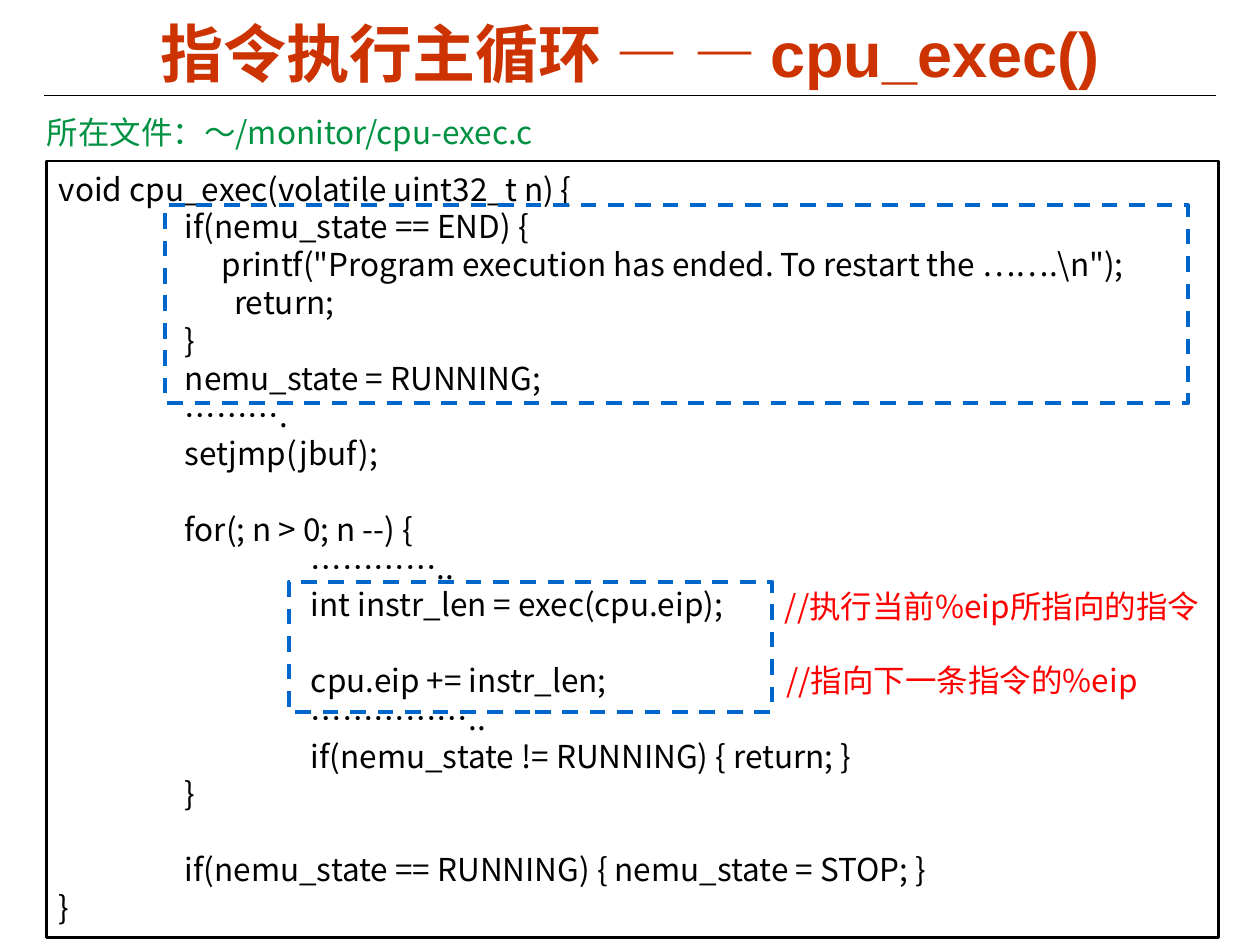
import dataclasses
import typing

import lxml.etree
import pptx
import pptx.dml.color
import pptx.enum.dml
import pptx.enum.shapes
import pptx.enum.text
import pptx.oxml.ns
import pptx.util

Cm = pptx.util.Cm
Pt = pptx.util.Pt
CODE_FONT = "Noto Sans CJK SC"
LINE_PITCH = 21.6
TAB = 2.54


@dataclasses.dataclass
class CodeLine:
    """One line of code, its indent in tabs and the blank lines above it."""
    text: str
    tabs: float = 0
    blanks_above: int = 0


@dataclasses.dataclass
class Box:
    """Position and size in centimetres."""
    left: float
    top: float
    width: float
    height: float

    def lengths(self) -> list:
        return [Cm(value) for value in dataclasses.astuple(self)]


@dataclasses.dataclass
class Note:
    """A single coloured line of text."""
    text: str
    box: Box
    color: str


CODE = [
    CodeLine("void cpu_exec(volatile uint32_t n) {"),
    CodeLine("if(nemu_state == END) {", 1),
    CodeLine('printf("Program execution has ended. To restart the …….\\n");', 1.29),
    CodeLine("return;", 1.39),
    CodeLine("}", 1),
    CodeLine("nemu_state = RUNNING;", 1),
    CodeLine("……….", 1),
    CodeLine("setjmp(jbuf);", 1),
    CodeLine("for(; n > 0; n --) {", 1, 1),
    CodeLine("…………..", 2),
    CodeLine("int instr_len = exec(cpu.eip);", 2),
    CodeLine("cpu.eip += instr_len;", 2, 1),
    CodeLine("……………..", 2),
    CodeLine("if(nemu_state != RUNNING) { return; }", 2),
    CodeLine("}", 1),
    CodeLine("if(nemu_state == RUNNING) { nemu_state = STOP; }", 1, 1),
    CodeLine("}"),
]
HIGHLIGHTS = [Box(3.33, 4.14, 20.62, 3.99), Box(5.82, 11.73, 9.75, 2.62)]
NOTES = [
    Note("//执行当前%eip所指向的指令", Box(15.57, 11.66, 9.7, 1.02), "FF0000"),
    Note("//指向下一条指令的%eip", Box(15.6, 13.16, 9.7, 1.02), "FF0000"),
    Note("所在文件：～/monitor/cpu-exec.c", Box(0.69, 2.11, 10.74, 1.02), "009242"),
]


def rgb(color: str) -> pptx.dml.color.RGBColor:
    """Turn a hex string into a colour."""
    return pptx.dml.color.RGBColor.from_string(color)


def add_run(paragraph: typing.Any, text: str, size: float, color: str,
            font: str = CODE_FONT, bold: bool = False) -> None:
    """Add a formatted run with Latin and East Asian fonts."""
    run = paragraph.add_run()
    run.text = text
    run.font.size = Pt(size)
    run.font.bold = bold
    run.font.name = font
    run.font.color.rgb = rgb(color)
    east_asian = lxml.etree.Element(pptx.oxml.ns.qn("a:ea"), typeface=CODE_FONT)
    run.font._element.find(pptx.oxml.ns.qn("a:latin")).addnext(east_asian)


def write_lines(frame: typing.Any, lines: list[CodeLine], color: str) -> None:
    """Fill a text frame with evenly pitched lines."""
    frame.word_wrap = True
    frame.vertical_anchor = pptx.enum.text.MSO_ANCHOR.TOP
    frame.margin_top = Cm(0.17)
    for number, line in enumerate(lines):
        paragraph = frame.add_paragraph() if number else frame.paragraphs[0]
        paragraph.alignment = pptx.enum.text.PP_ALIGN.LEFT
        paragraph.line_spacing = Pt(LINE_PITCH)
        paragraph.space_before = Pt(LINE_PITCH * line.blanks_above)
        properties = paragraph._p.get_or_add_pPr()
        properties.set("marL", str(Cm(line.tabs * TAB)))
        properties.set("indent", "0")
        add_run(paragraph, line.text, 18, color)


def add_frame(slide: typing.Any, box: Box, color: str, width: float,
              dashed: bool = False) -> typing.Any:
    """Add an unfilled outlined rectangle."""
    frame = slide.shapes.add_shape(
        pptx.enum.shapes.MSO_SHAPE.RECTANGLE, *box.lengths())
    frame.shadow.inherit = False
    frame.fill.background()
    frame.line.color.rgb = rgb(color)
    frame.line.width = Pt(width)
    if dashed:
        frame.line.dash_style = pptx.enum.dml.MSO_LINE.DASH
    return frame


def add_heading(slide: typing.Any) -> None:
    """Format the title and draw the rule below it."""
    title = slide.shapes.title
    title.left, title.top, title.width, title.height = Box(
        1.27, 0.28, 22.86, 1.55).lengths()
    title.text_frame.auto_size = pptx.enum.text.MSO_AUTO_SIZE.NONE
    title.text_frame.vertical_anchor = pptx.enum.text.MSO_ANCHOR.MIDDLE
    paragraph = title.text_frame.paragraphs[0]
    paragraph.alignment = pptx.enum.text.PP_ALIGN.CENTER
    add_run(paragraph, "指令执行主循环 — — cpu_exec()", 36, "CC3300", "Arial", True)
    rule = slide.shapes.add_connector(
        pptx.enum.shapes.MSO_CONNECTOR.STRAIGHT,
        Cm(0.89), Cm(1.93), Cm(24.51), Cm(1.93))
    rule.line.color.rgb = rgb("000000")
    rule.line.width = Pt(0.75)
    lxml.etree.SubElement(rule._element.spPr, pptx.oxml.ns.qn("a:effectLst"))


def main() -> None:
    """Build the slide about the instruction execution loop."""
    presentation = pptx.Presentation()
    presentation.slide_width, presentation.slide_height = Cm(25.4), Cm(19.05)
    slide = presentation.slides.add_slide(presentation.slide_layouts[5])
    add_heading(slide)
    listing = add_frame(slide, Box(0.94, 3.25, 23.62, 15.65), "000000", 1.5)
    write_lines(listing.text_frame, CODE, "000000")
    for highlight in HIGHLIGHTS:
        add_frame(slide, highlight, "0066CC", 2.25, dashed=True)
    for note in NOTES:
        textbox = slide.shapes.add_textbox(*note.box.lengths())
        write_lines(textbox.text_frame, [CodeLine(note.text)], note.color)
    presentation.save("out.pptx")


main()
